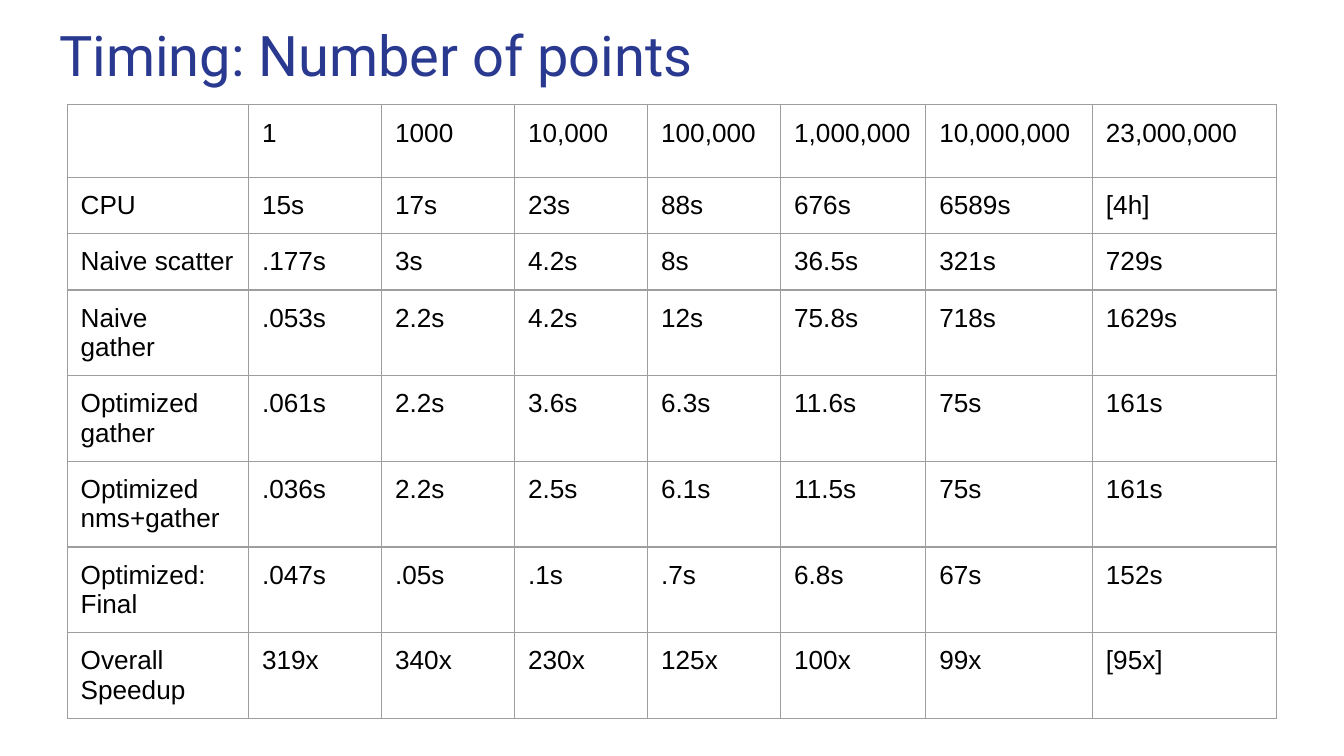
from lxml import etree
from pptx import Presentation
from pptx.dml.color import RGBColor
from pptx.enum.text import MSO_ANCHOR, MSO_AUTO_SIZE, PP_ALIGN
from pptx.oxml.ns import qn
from pptx.util import Pt

LEFT = PP_ALIGN.LEFT
TOP = MSO_ANCHOR.TOP
NO_AUTOFIT = MSO_AUTO_SIZE.NONE

EMU_PER_PX = 4572  # 200 px to the inch
TITLE_ONLY = 5
COLORS = {"title": "2A3990", "text": "000000", "border": "9E9E9E"}

COLUMN_WIDTHS = [270, 198, 198, 198, 198, 216, 248, 274]
HEADER_HEIGHT, ROW_HEIGHT = 108, 83
TIMINGS = [
    ["", "1", "1000", "10,000", "100,000", "1,000,000", "10,000,000", "23,000,000"],
    ["CPU", "15s", "17s", "23s", "88s", "676s", "6589s", "[4h]"],
    ["Naive scatter", ".177s", "3s", "4.2s", "8s", "36.5s", "321s", "729s"],
    ["Naive\ngather", ".053s", "2.2s", "4.2s", "12s", "75.8s", "718s", "1629s"],
    ["Optimized gather", ".061s", "2.2s", "3.6s", "6.3s", "11.6s", "75s", "161s"],
    ["Optimized nms+gather", ".036s", "2.2s", "2.5s", "6.1s", "11.5s", "75s", "161s"],
    ["Optimized: Final", ".047s", ".05s", ".1s", ".7s", "6.8s", "67s", "152s"],
    ["Overall Speedup", "319x", "340x", "230x", "125x", "100x", "99x", "[95x]"],
]


def px(length):
    return length * EMU_PER_PX


class TimingSlide:
    title_font, title_size = "Roboto", 30
    body_font, body_size = "Arial", 14
    inset = px(20)
    border_width = Pt(0.75)

    def __init__(self, deck):
        self.slide = deck.slides.add_slide(deck.slide_layouts[TITLE_ONLY])

    def add_run(self, paragraph, text, font, size, color):
        paragraph.alignment = LEFT
        run = paragraph.add_run()
        run.text = text
        run.font.name = font
        run.font.size = Pt(size)
        run.font.color.rgb = RGBColor.from_string(COLORS[color])

    def set_insets(self, holder):
        holder.margin_left = holder.margin_right = self.inset
        holder.margin_top = holder.margin_bottom = self.inset
        holder.vertical_anchor = TOP

    def title(self, text, left, top, width, height):
        heading = self.slide.shapes.title
        heading.left, heading.top = px(left), px(top)
        heading.width, heading.height = px(width), px(height)
        frame = heading.text_frame
        frame.word_wrap = True
        frame.auto_size = NO_AUTOFIT
        self.set_insets(frame)
        self.add_run(frame.paragraphs[0], text, self.title_font, self.title_size, "title")

    def cell_borders(self, cell):
        properties = cell._tc.get_or_add_tcPr()
        for side in ("lnL", "lnR", "lnT", "lnB"):
            line = etree.SubElement(properties, qn(f"a:{side}"), w=str(self.border_width))
            fill = etree.SubElement(line, qn("a:solidFill"))
            etree.SubElement(fill, qn("a:srgbClr"), val=COLORS["border"])

    def fill_cell(self, cell, text):
        self.set_insets(cell)
        self.cell_borders(cell)
        cell.fill.background()
        frame = cell.text_frame
        for index, line in enumerate(text.splitlines()):
            paragraph = frame.add_paragraph() if index else frame.paragraphs[0]
            self.add_run(paragraph, line, self.body_font, self.body_size, "text")

    def table(self, rows, left, top, widths, heights):
        grid = self.slide.shapes.add_table(
            len(rows), len(widths), px(left), px(top), px(sum(widths)), px(sum(heights))
        ).table
        grid.first_row = grid.horz_banding = False
        for column, width in zip(grid.columns, widths):
            column.width = px(width)
        for row, height, texts in zip(grid.rows, heights, rows):
            row.height = px(height)
            for cell, text in zip(row.cells, texts):
                self.fill_cell(cell, text)


def main():
    deck = Presentation()
    deck.slide_width, deck.slide_height = px(2000), px(1125)
    timing = TimingSlide(deck)

    # Heading
    timing.title("Timing: Number of points", 68, 10, 1864, 132)

    # Run time by method and number of points
    row_heights = [HEADER_HEIGHT] + [ROW_HEIGHT] * (len(TIMINGS) - 1)
    timing.table(TIMINGS, 100, 156, COLUMN_WIDTHS, row_heights)

    deck.save("out.pptx")


if __name__ == "__main__":
    main()
